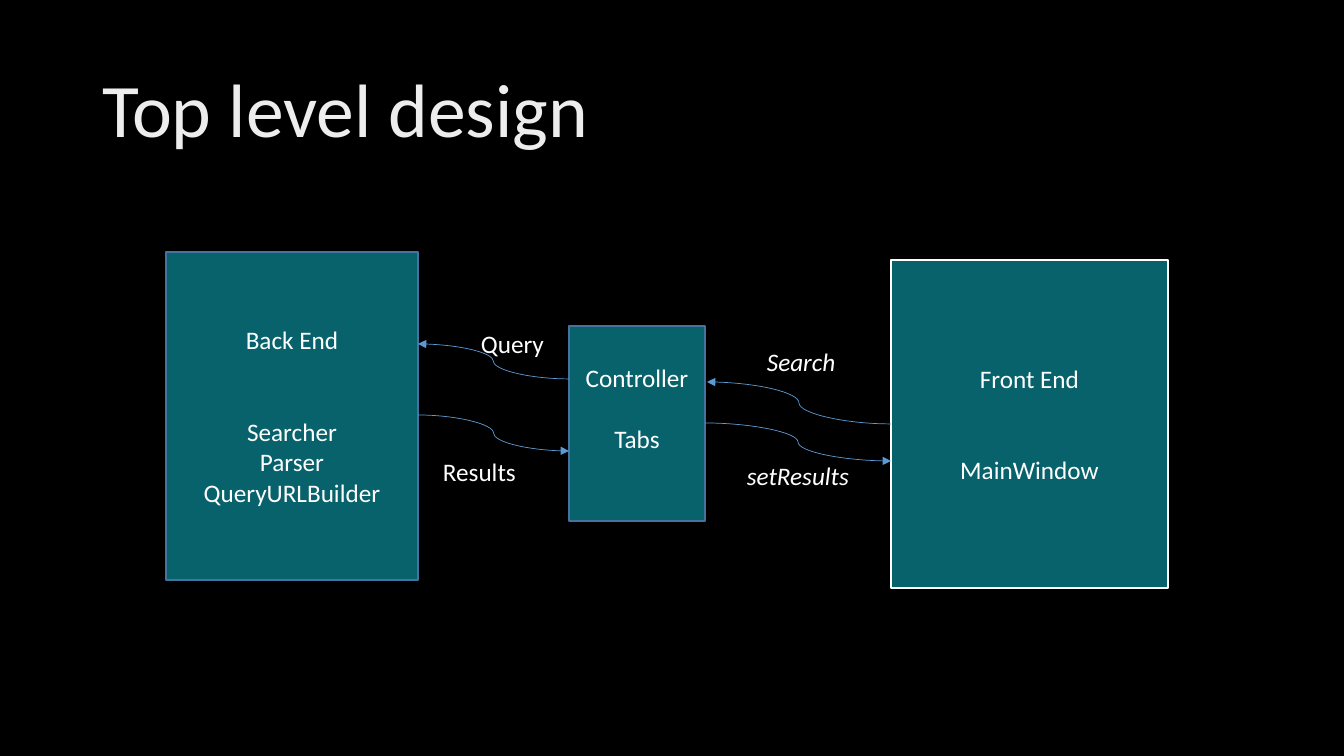
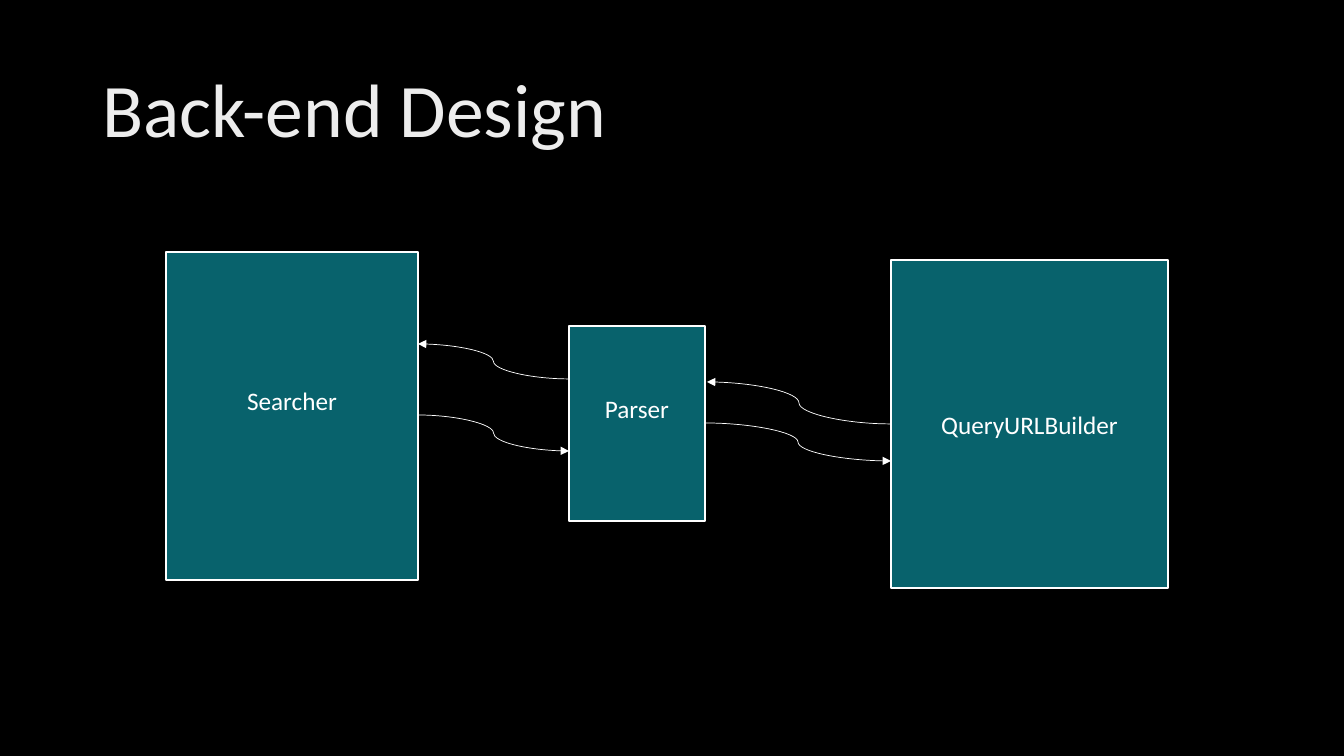
from lxml.etree import SubElement
from pptx import Presentation
from pptx.dml.color import RGBColor
from pptx.enum.shapes import MSO_CONNECTOR as Link, MSO_SHAPE as Preset
from pptx.enum.text import MSO_ANCHOR as Anchor, MSO_AUTO_SIZE as Fit, PP_ALIGN as Align
from pptx.oxml.ns import qn
from pptx.util import Emu, Pt

PAGE = (1344, 756)
TITLE = (92, 40, 1160, 146)
BLACK, WHITE, SILVER = "000000", "FFFFFF", "EDEDED"
TEAL, STEEL, SKY = "08626C", "43739E", "5B9BD5"
FONT = "Calibri"
TEXT_SIZE, TITLE_SIZE, LINE_PT = 18, 54, 22
LINE_PX, INSET = 31, 5

BOXES = {
    "left": (166, 252, 252, 328),
    "middle": (569, 326, 136, 195),
    "right": (891, 260, 277, 328),
}
BORDER_WIDTHS = {"left": 1, "middle": 1, "right": 1.5}
ARROWS = [
    (569, 379, 418, 344),
    (418, 415, 569, 451),
    (891, 424, 707, 382),
    (705, 423, 891, 461),
]

SLIDES = [
    {
        "title": "Top level design",
        "arrow_color": SKY,
        "boxes": [
            # name, border, heading, gap in lines, items, lift in lines
        ][:0] + [
            ("right", WHITE, "Front End", 2, ["MainWindow"], 0),
            ("left", STEEL, "Back End", 2, ["Searcher", "Parser", "QueryURLBuilder"], 0),
            ("middle", STEEL, "Controller", 1, ["Tabs"], 1),
        ],
        "labels": [
            ("Query", (471, 323, 84, 40), False),
            ("Results", (433, 451, 94, 40), False),
            ("Search", (757, 341, 90, 40), True),
            ("setResults", (737, 455, 125, 40), True),
        ],
    },
    {
        "title": "Back-end Design",
        "arrow_color": WHITE,
        "boxes": [
            ("right", WHITE, "QueryURLBuilder", 0, [], 0),
            ("left", WHITE, "Searcher", 0, [], 1),
            ("middle", WHITE, "Parser", 0, [], 1),
        ],
        "labels": [],
    },
]


def px(value):
    return Emu(round(value * 9144000 / 1008))


def rgb(color):
    return RGBColor.from_string(color)


def apply(target, **values):
    for name, value in values.items():
        setattr(target, name, value)


def place(shape, area):
    apply(shape, **dict(zip(("left", "top", "width", "height"), map(px, area))))


def write(para, text, size=TEXT_SIZE, color=WHITE, italic=False):
    span = para.add_run()
    span.text = text
    apply(span.font, name=FONT, size=Pt(size), italic=italic)
    span.font.color.rgb = rgb(color)


def add_box(page, name, border, heading, gap, items, lift):
    box = page.shapes.add_shape(Preset.RECTANGLE, *map(px, BOXES[name]))
    box.shadow.inherit = False
    box.fill.solid()
    box.fill.fore_color.rgb = rgb(TEAL)
    box.line.color.rgb = rgb(border)
    box.line.width = Pt(BORDER_WIDTHS[name])
    frame = box.text_frame
    apply(frame, vertical_anchor=Anchor.MIDDLE, word_wrap=True,
          margin_bottom=px(INSET + lift * LINE_PX))
    for index, text in enumerate([heading] + items):
        para = frame.add_paragraph() if index else frame.paragraphs[0]
        para.alignment = Align.CENTER
        if index == 1:
            para.space_before = Pt(gap * LINE_PT)
        write(para, text)


def add_arrow(page, ends, color):
    arrow = page.shapes.add_connector(Link.CURVE, *map(px, ends))
    arrow.line.color.rgb = rgb(color)
    arrow.line.width = Pt(0.5)
    SubElement(arrow.line._get_or_add_ln(), qn("a:tailEnd"), type="triangle")
    SubElement(arrow._element.spPr, qn("a:effectLst"))


def add_label(page, text, area, italic):
    frame = page.shapes.add_textbox(*map(px, area)).text_frame
    apply(frame, word_wrap=False, auto_size=Fit.SHAPE_TO_FIT_TEXT)
    write(frame.paragraphs[0], text, italic=italic)


def add_title(page, text):
    frame = page.shapes.title.text_frame
    apply(frame, vertical_anchor=Anchor.MIDDLE, auto_size=Fit.NONE)
    para = frame.paragraphs[0]
    apply(para, alignment=Align.LEFT, line_spacing=0.9)
    write(para, text, TITLE_SIZE, SILVER)


def build_slide(deck, layout, content):
    page = deck.slides.add_slide(layout)
    add_title(page, content["title"])
    for box in content["boxes"]:
        add_box(page, *box)
    for ends in ARROWS:
        add_arrow(page, ends, content["arrow_color"])
    for label in content["labels"]:
        add_label(page, *label)


def main():
    deck = Presentation()
    apply(deck, slide_width=px(PAGE[0]), slide_height=px(PAGE[1]))
    backdrop = deck.slide_master.background.fill
    backdrop.solid()
    backdrop.fore_color.rgb = rgb(BLACK)
    layout = deck.slide_layouts.get_by_name("Title Only")
    place(layout.placeholders[0], TITLE)
    for content in SLIDES:
        build_slide(deck, layout, content)
    deck.save("out.pptx")


if __name__ == "__main__":
    main()
